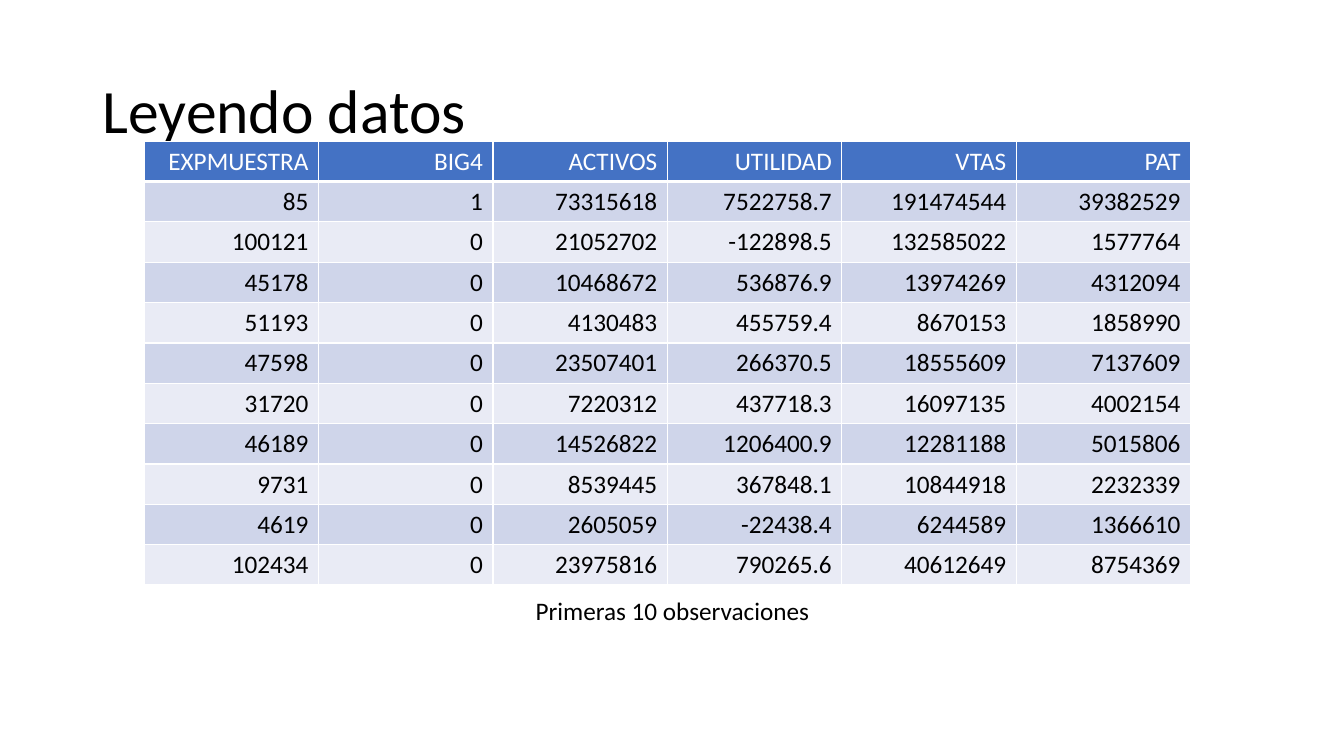
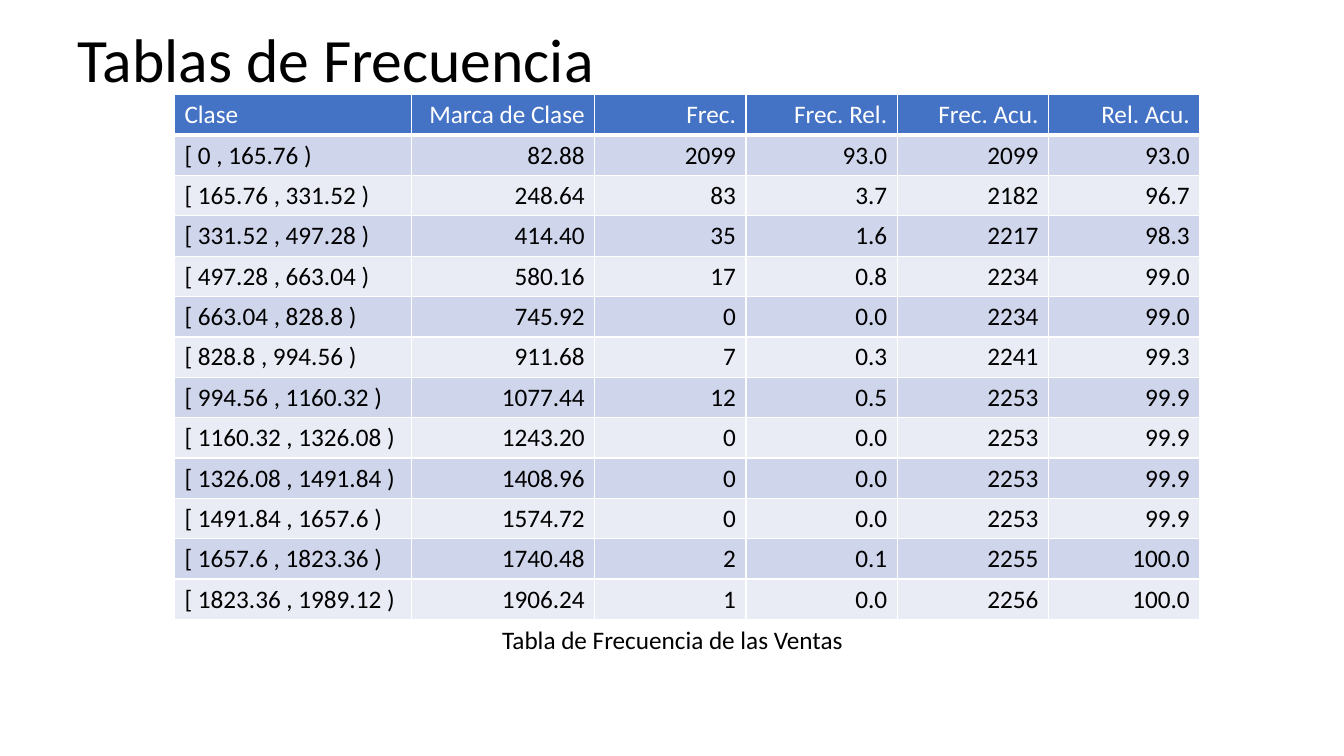
from lxml.etree import SubElement
from pptx import Presentation
from pptx.dml.color import RGBColor
from pptx.enum.text import MSO_ANCHOR, PP_ALIGN
from pptx.oxml.ns import qn
from pptx.util import Inches, Pt

FONT = "Calibri"
BLACK = RGBColor(0x00, 0x00, 0x00)
WHITE = RGBColor(0xFF, 0xFF, 0xFF)
BLUE = RGBColor(0x44, 0x72, 0xC4)
BANDS = (RGBColor(0xCF, 0xD5, 0xEA), RGBColor(0xE9, 0xEB, 0xF5))
ROW_H = 0.4
SIDES = ("lnL", "lnR", "lnT", "lnB")

SAMPLE = (
    ("EXPMUESTRA", "BIG4", "ACTIVOS", "UTILIDAD", "VTAS", "PAT"),
    ("85", "1", "73315618", "7522758.7", "191474544", "39382529"),
    ("100121", "0", "21052702", "-122898.5", "132585022", "1577764"),
    ("45178", "0", "10468672", "536876.9", "13974269", "4312094"),
    ("51193", "0", "4130483", "455759.4", "8670153", "1858990"),
    ("47598", "0", "23507401", "266370.5", "18555609", "7137609"),
    ("31720", "0", "7220312", "437718.3", "16097135", "4002154"),
    ("46189", "0", "14526822", "1206400.9", "12281188", "5015806"),
    ("9731", "0", "8539445", "367848.1", "10844918", "2232339"),
    ("4619", "0", "2605059", "-22438.4", "6244589", "1366610"),
    ("102434", "0", "23975816", "790265.6", "40612649", "8754369"),
)
SALES = (
    ("Clase", "Marca de Clase", "Frec.", "Frec. Rel.", "Frec. Acu.", "Rel. Acu."),
    ("[ 0 , 165.76 )", "82.88", "2099", "93.0", "2099", "93.0"),
    ("[ 165.76 , 331.52 )", "248.64", "83", "3.7", "2182", "96.7"),
    ("[ 331.52 , 497.28 )", "414.40", "35", "1.6", "2217", "98.3"),
    ("[ 497.28 , 663.04 )", "580.16", "17", "0.8", "2234", "99.0"),
    ("[ 663.04 , 828.8 )", "745.92", "0", "0.0", "2234", "99.0"),
    ("[ 828.8 , 994.56 )", "911.68", "7", "0.3", "2241", "99.3"),
    ("[ 994.56 , 1160.32 )", "1077.44", "12", "0.5", "2253", "99.9"),
    ("[ 1160.32 , 1326.08 )", "1243.20", "0", "0.0", "2253", "99.9"),
    ("[ 1326.08 , 1491.84 )", "1408.96", "0", "0.0", "2253", "99.9"),
    ("[ 1491.84 , 1657.6 )", "1574.72", "0", "0.0", "2253", "99.9"),
    ("[ 1657.6 , 1823.36 )", "1740.48", "2", "0.1", "2255", "100.0"),
    ("[ 1823.36 , 1989.12 )", "1906.24", "1", "0.0", "2256", "100.0"),
)
PAGES = (
    dict(title="Leyendo datos", head_box=(0.92, 0.4, 11.5, 1.45),
         rows=SAMPLE, spot=(1.43, 1.4), widths=[1.73] * 6, left_cols=(),
         note="Primeras 10 observaciones", note_top=5.86),
    dict(title="Tablas de Frecuencia", head_box=(0.67, 0, 12, 1.25),
         rows=SALES, spot=(1.73, 0.94), widths=[2.35, 1.82] + [1.5] * 4,
         left_cols=(0,),
         note="Tabla de Frecuencia de las Ventas", note_top=6.14),
)


def write(frame, text, size=18, color=BLACK, align=PP_ALIGN.LEFT, gap=None):
    """Put one formatted line of text into a text frame."""
    line = frame.paragraphs[0]
    line.alignment = align
    line.line_spacing = gap
    run = line.add_run()
    run.text = text
    run.font.name = FONT
    run.font.size = Pt(size)
    run.font.color.rgb = color


def add_text(slide, box, text, anchor=MSO_ANCHOR.TOP, **style):
    """Add a wrapping text box; box is left, top, width, height."""
    frame = slide.shapes.add_textbox(*map(Inches, box)).text_frame
    frame.word_wrap = True
    frame.vertical_anchor = anchor
    write(frame, text, **style)


def edge(cell, base):
    """Draw white cell borders, the bottom one base points wide."""
    props = cell._tc.get_or_add_tcPr()
    for side in SIDES:
        width = Pt(base if side == "lnB" else 1)
        line = SubElement(props, qn(f"a:{side}"), w=str(width))
        fill = SubElement(line, qn("a:solidFill"))
        SubElement(fill, qn("a:srgbClr"), val=str(WHITE))


def add_grid(slide, rows, spot, widths, left_cols):
    """Add a banded table with a blue header row."""
    size = (sum(widths), ROW_H * len(rows))
    table = slide.shapes.add_table(
        len(rows), len(widths), *map(Inches, spot + size)).table
    for col, width in zip(table.columns, widths):
        col.width = Inches(width)
    for r, row in enumerate(rows):
        head = r == 0
        for c, text in enumerate(row):
            cell = table.cell(r, c)
            edge(cell, 3 if head else 1)
            cell.fill.solid()
            cell.fill.fore_color.rgb = BLUE if head else BANDS[(r - 1) % 2]
            write(cell.text_frame, text, color=WHITE if head else BLACK,
                  align=PP_ALIGN.LEFT if c in left_cols else PP_ALIGN.RIGHT)


def add_page(deck, title, head_box, rows, spot, widths, left_cols, note, note_top):
    """Add a slide with a title, a table and its caption."""
    slide = deck.slides.add_slide(deck.slide_layouts[6])
    add_text(slide, head_box, title, anchor=MSO_ANCHOR.MIDDLE, size=44, gap=0.9)
    add_grid(slide, rows, spot, widths, left_cols)
    add_text(slide, (2.17, note_top, 9, 0.56), note, align=PP_ALIGN.CENTER)


deck = Presentation()
deck.slide_width, deck.slide_height = Inches(13.33), Inches(7.5)
for page in PAGES:
    add_page(deck, **page)
deck.save("out.pptx")
